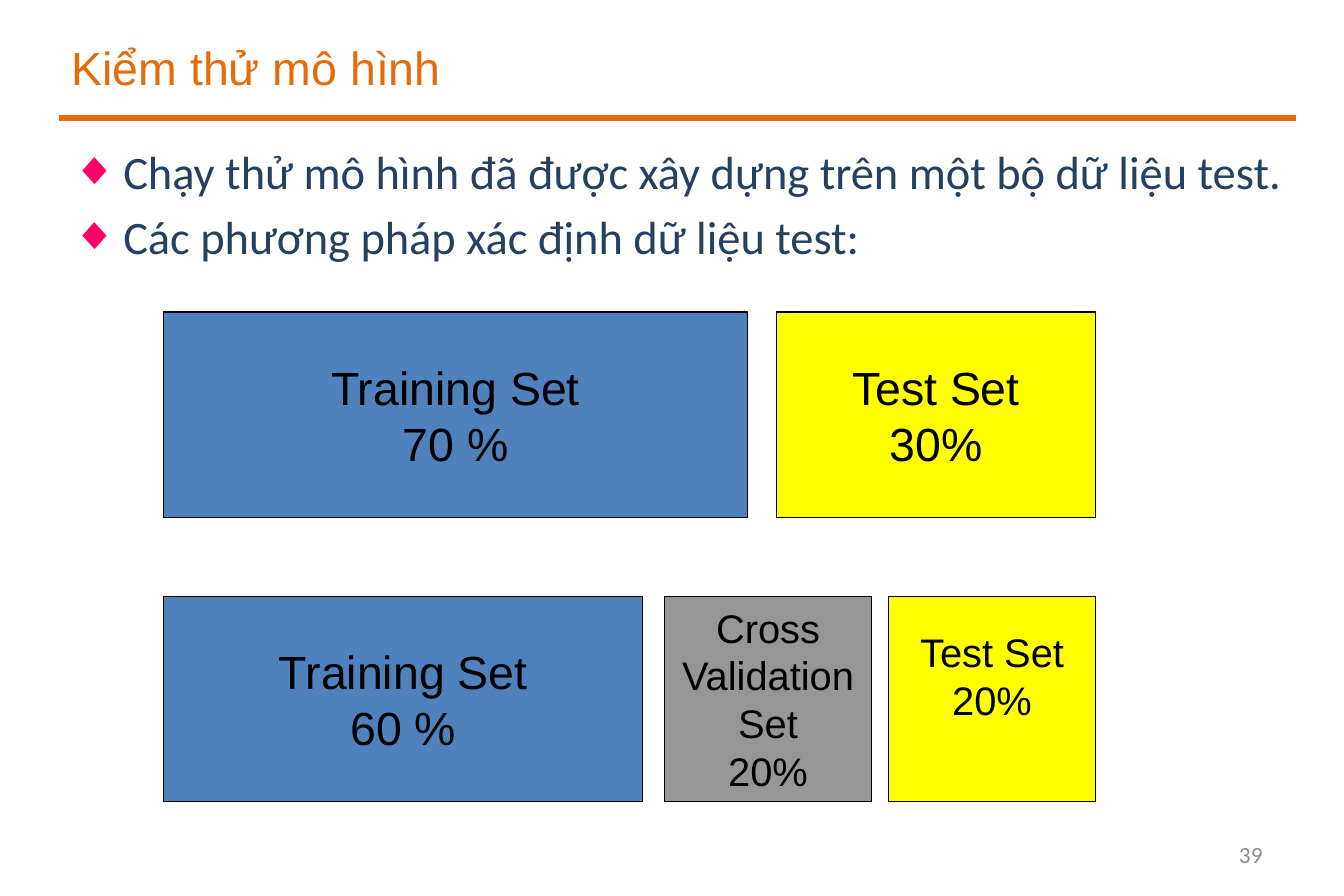
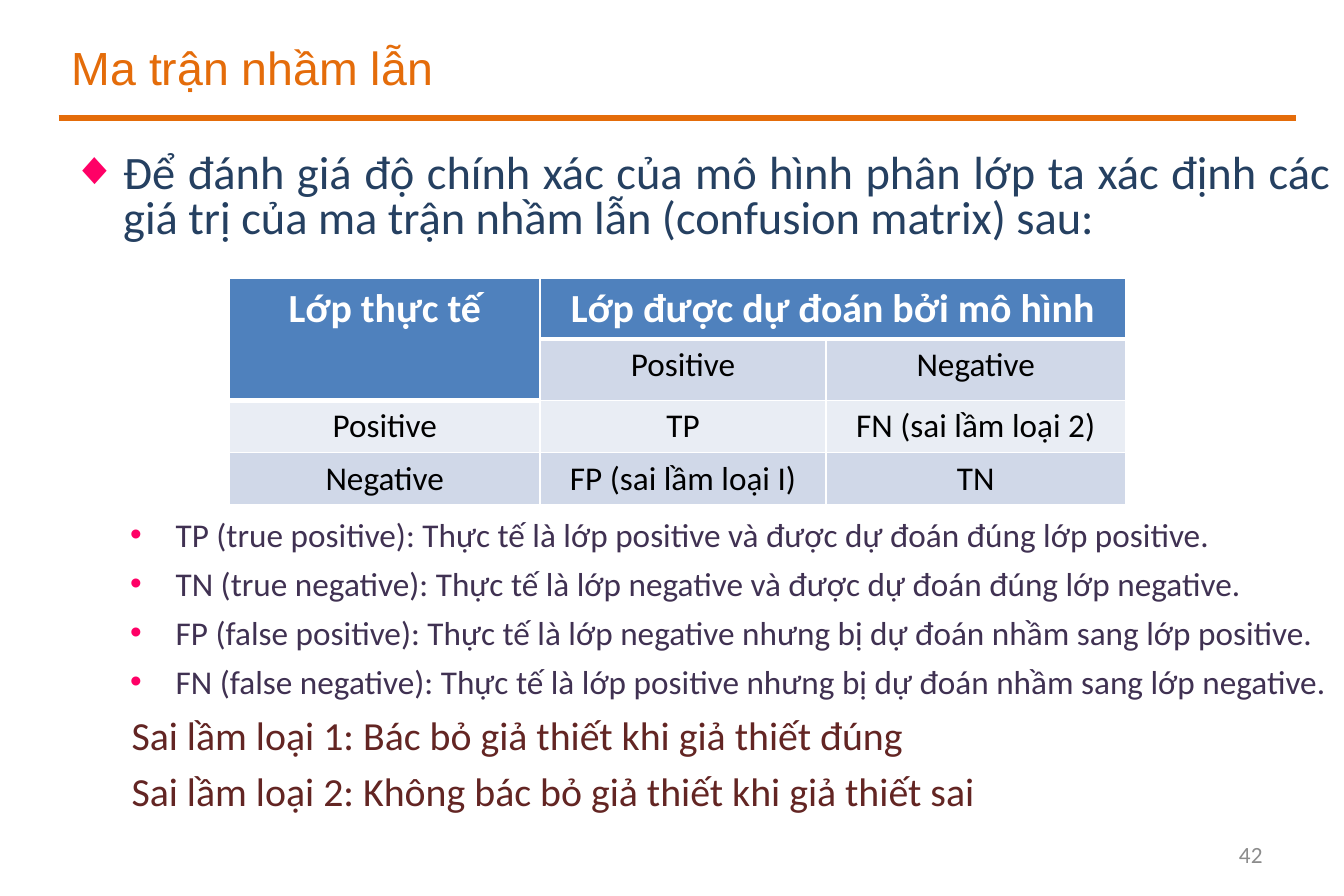
"""Build two slides on testing a model and its confusion matrix."""
from dataclasses import dataclass

from lxml import etree
from pptx import Presentation
from pptx.dml.color import RGBColor
from pptx.enum.shapes import MSO_CONNECTOR, MSO_SHAPE
from pptx.enum.text import MSO_ANCHOR, PP_ALIGN
from pptx.oxml.ns import qn
from pptx.util import Pt

RECTANGLE = MSO_SHAPE.RECTANGLE
STRAIGHT = MSO_CONNECTOR.STRAIGHT
TOP, MIDDLE = MSO_ANCHOR.TOP, MSO_ANCHOR.MIDDLE
CENTER, RIGHT, JUSTIFY = PP_ALIGN.CENTER, PP_ALIGN.RIGHT, PP_ALIGN.JUSTIFY

WHITE = RGBColor(0xFF, 0xFF, 0xFF)
BLACK = RGBColor(0x00, 0x00, 0x00)
ORANGE = RGBColor(0xE4, 0x6C, 0x0A)
NAVY = RGBColor(0x25, 0x40, 0x61)
PURPLE = RGBColor(0x40, 0x31, 0x52)
MAROON = RGBColor(0x63, 0x25, 0x23)
PINK = RGBColor(0xFF, 0x00, 0x66)
BLUE = RGBColor(0x4F, 0x81, 0xBD)
YELLOW = RGBColor(0xFF, 0xFF, 0x00)
GRAY = RGBColor(0x96, 0x96, 0x96)
NUMBER_GRAY = RGBColor(0x8C, 0x8C, 0x8C)
BAND_DARK = RGBColor(0xD0, 0xD8, 0xE8)
BAND_LIGHT = RGBColor(0xE9, 0xED, 0xF4)

HEADING_FONT, BODY_FONT = "Arial", "Calibri"
MARGIN = 35.3
BODY_TOP = 88.6
SET_HEIGHT = 123.8


@dataclass(frozen=True)
class DataSet:
    """A share of the data, drawn as a labelled rectangle."""
    lines: tuple[str, ...]
    left: float
    top: float
    width: float
    color: RGBColor
    size: float = 28
    bottom_inset: float = 3.6


@dataclass(frozen=True)
class ListStyle:
    """The look of one kind of body paragraph."""
    size: float
    color: RGBColor
    margin: float
    indent: float = 0
    bullet: str = ""


POINT = ListStyle(28, NAVY, 31, -31, "◆")
DEFINITION = ListStyle(20, PURPLE, 62.6, -27.4, "•")
ERROR = ListStyle(24, MAROON, 36)

UPPER_TOP, LOWER_TOP = 188, 359.3
DATA_SETS = (
    DataSet(("Training Set", "70 %"), 98.6, UPPER_TOP, 352, BLUE),
    DataSet(("Training Set", "60 %"), 98.6, LOWER_TOP, 288.8, BLUE),
    DataSet(("Test Set", "30%"), 468, UPPER_TOP, 192.2, YELLOW),
    DataSet(("Cross Validation Set", "20%"), 400.4, LOWER_TOP, 125, GRAY, 24),
    DataSet(("Test Set", "20%"), 535.4, LOWER_TOP, 125, YELLOW, 24, 31.2),
)

TEST_POINTS = (
    "Chạy thử mô hình đã được xây dựng trên một bộ dữ liệu test.",
    "Các phương pháp xác định dữ liệu test:",
)
MATRIX_POINT = (
    "Để đánh giá độ chính xác của mô hình phân lớp ta xác định các giá trị "
    "của ma trận nhầm lẫn (confusion matrix) sau:"
)
DEFINITIONS = (
    "TP (true positive): Thực tế là lớp positive và được dự đoán đúng lớp positive.",
    "TN (true negative): Thực tế là lớp negative và được dự đoán đúng lớp negative.",
    "FP (false positive): Thực tế là lớp negative nhưng bị dự đoán nhầm sang lớp positive.",
    "FN (false negative): Thực tế là lớp positive nhưng bị dự đoán nhầm sang lớp negative.",
)
ERRORS = (
    "Sai lầm loại 1: Bác bỏ giả thiết khi giả thiết đúng",
    "Sai lầm loại 2: Không bác bỏ giả thiết khi giả thiết sai",
)
MATRIX = (
    ("Lớp thực tế", "Lớp được dự đoán bởi mô hình", ""),
    ("", "Positive", "Negative"),
    ("Positive", "TP", "FN (sai lầm loại 2)"),
    ("Negative", "FP (sai lầm loại I)", "TN"),
)
COLUMN_WIDTHS = (187.2, 172.4, 180.4)
ROW_HEIGHTS = (36.5, 37, 31.6, 31.6)


def write(frame, text: str, *, size: float, color: RGBColor, font: str = BODY_FONT,
          align=JUSTIFY, bold: bool = False):
    """Write one formatted paragraph and return it."""
    first = frame.paragraphs[0]
    para = frame.add_paragraph() if first.runs else first
    para.alignment = align
    span = para.add_run()
    span.text = text
    span.font.name = font
    span.font.size = Pt(size)
    span.font.bold = bold
    span.font.color.rgb = color
    return para


def write_list(frame, texts: tuple[str, ...], style: ListStyle) -> None:
    """Write body paragraphs in one list style."""
    for text in texts:
        para = write(frame, text, size=style.size, color=style.color)
        para.line_spacing = 0.8
        para.space_before = Pt(style.size * 0.18)
        para.space_after = Pt(6.8)
        properties = para._p.get_or_add_pPr()
        properties.set("marL", str(Pt(style.margin)))
        properties.set("indent", str(Pt(style.indent)))
        if style.bullet:
            bullet_color = etree.SubElement(properties, qn("a:buClr"))
            etree.SubElement(bullet_color, qn("a:srgbClr"), val=str(PINK))
            etree.SubElement(properties, qn("a:buFont"), typeface=HEADING_FONT)
            etree.SubElement(properties, qn("a:buChar"), char=style.bullet)


def add_text_box(page, left: float, top: float, width: float, height: float, anchor=TOP):
    """Add a wrapping text box with the shared insets."""
    box = page.shapes.add_textbox(Pt(left), Pt(top), Pt(width), Pt(height))
    frame = box.text_frame
    frame.word_wrap = True
    frame.vertical_anchor = anchor
    frame.margin_left = frame.margin_right = Pt(8)
    frame.margin_top = frame.margin_bottom = Pt(4.3)
    return box


def add_page(deck, title: str, number: int):
    """Add a page with its title, rule and number."""
    page = deck.slides.add_slide(deck.slide_layouts[6])
    title_box = add_text_box(page, MARGIN, 10, 715.7, 61.2, MIDDLE)
    title_box.fill.solid()
    title_box.fill.fore_color.rgb = WHITE
    write(title_box.text_frame, title, size=28, color=ORANGE, font=HEADING_FONT)
    rule = page.shapes.add_connector(STRAIGHT, Pt(MARGIN), Pt(71.2), Pt(781.2), Pt(71.2))
    rule.line.color.rgb = ORANGE
    rule.line.width = Pt(4)
    etree.SubElement(rule._element.spPr, qn("a:effectLst"))
    number_box = add_text_box(page, 580.3, 500.4, 188.6, 28.8, MIDDLE)
    write(number_box.text_frame, str(number), size=14, color=NUMBER_GRAY, align=RIGHT)
    return page


def add_data_set(page, data_set: DataSet) -> None:
    """Draw one share of the data."""
    box = page.shapes.add_shape(RECTANGLE, Pt(data_set.left), Pt(data_set.top),
                                Pt(data_set.width), Pt(SET_HEIGHT))
    box.shadow.inherit = False
    box.fill.solid()
    box.fill.fore_color.rgb = data_set.color
    box.line.color.rgb = BLACK
    box.line.width = Pt(0.75)
    frame = box.text_frame
    frame.word_wrap = True
    frame.vertical_anchor = MIDDLE
    frame.margin_bottom = Pt(data_set.bottom_inset)
    for text in data_set.lines:
        write(frame, text, size=data_set.size, color=BLACK, font=HEADING_FONT, align=CENTER)


def set_borders(cell, top: float, bottom: float) -> None:
    """Give a cell white borders, thin at its sides."""
    properties = cell._tc.get_or_add_tcPr()
    sides = (("a:lnL", 1), ("a:lnR", 1), ("a:lnT", top), ("a:lnB", bottom))
    for index, (tag, width) in enumerate(sides):
        border = etree.Element(qn(tag), w=str(Pt(width)))
        fill = etree.SubElement(border, qn("a:solidFill"))
        etree.SubElement(fill, qn("a:srgbClr"), val=str(WHITE))
        properties.insert(index, border)


def is_heading(row: int, column: int) -> bool:
    """Tell whether a cell belongs to the table heading."""
    return row == 0 or (row, column) == (1, 0)


def add_matrix(page) -> None:
    """Draw the confusion matrix as a table."""
    table = page.shapes.add_table(len(MATRIX), len(COLUMN_WIDTHS), Pt(138.3), Pt(167.8),
                                  Pt(sum(COLUMN_WIDTHS)), Pt(sum(ROW_HEIGHTS))).table
    table.first_row = table.horz_banding = False
    for column, width in enumerate(COLUMN_WIDTHS):
        table.columns[column].width = Pt(width)
    for row, texts in enumerate(MATRIX):
        table.rows[row].height = Pt(ROW_HEIGHTS[row])
        for column, text in enumerate(texts):
            cell = table.cell(row, column)
            heading = is_heading(row, column)
            below_heading = row > 0 and is_heading(row - 1, column)
            band = BAND_DARK if row % 2 else BAND_LIGHT
            cell.fill.solid()
            cell.fill.fore_color.rgb = BLUE if heading else band
            set_borders(cell, 3 if below_heading else 1, 3 if heading else 1)
            if text:
                write(cell.text_frame, text, size=24 if heading else 20,
                      color=WHITE if heading else BLACK, align=CENTER, bold=heading)
    table.cell(0, 0).merge(table.cell(1, 0))
    table.cell(0, 1).merge(table.cell(0, 2))


def build_test_page(deck) -> None:
    """Build the page on splitting the data."""
    page = add_page(deck, "Kiểm thử mô hình", 39)
    body = add_text_box(page, MARGIN, BODY_TOP, 747.4, 90)
    write_list(body.text_frame, TEST_POINTS, POINT)
    for data_set in DATA_SETS:
        add_data_set(page, data_set)


def build_matrix_page(deck) -> None:
    """Build the page on the confusion matrix."""
    page = add_page(deck, "Ma trận nhầm lẫn", 42)
    body = add_text_box(page, MARGIN, BODY_TOP, 774.7, 72)
    write_list(body.text_frame, (MATRIX_POINT,), POINT)
    add_matrix(page)
    notes = add_text_box(page, MARGIN, 310.2, 774.7, 190)
    write_list(notes.text_frame, DEFINITIONS, DEFINITION)
    write_list(notes.text_frame, ERRORS, ERROR)


def main() -> None:
    """Build and save the deck."""
    deck = Presentation()
    deck.slide_width, deck.slide_height = Pt(810), Pt(540)
    build_test_page(deck)
    build_matrix_page(deck)
    deck.save("out.pptx")


if __name__ == "__main__":
    main()
